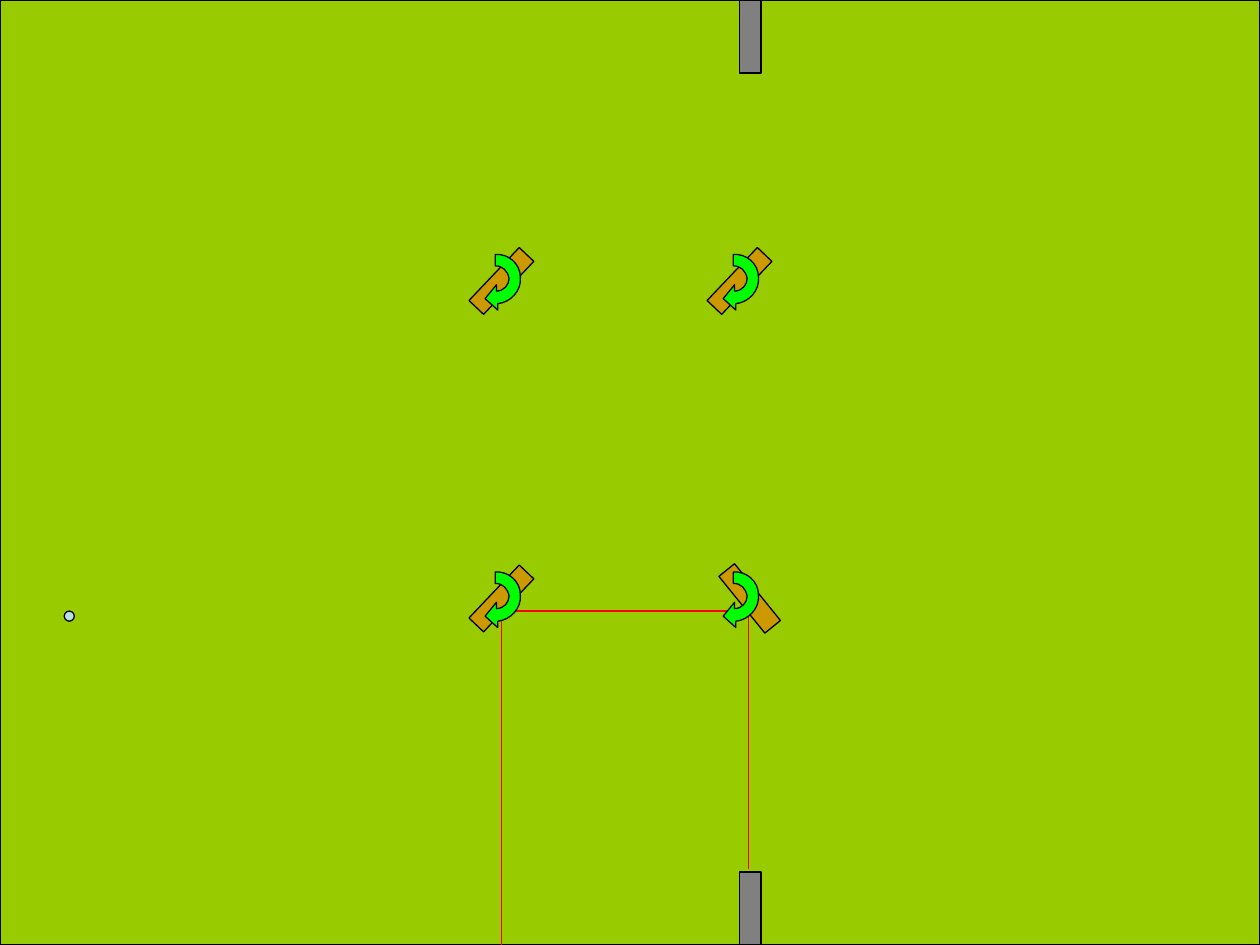
"""Build a green field with four turning gates, two posts, a ball and its red route."""
import math

import pptx
import pptx.dml.color
import pptx.enum.shapes
import pptx.oxml.ns
import pptx.util
from lxml import etree

Inches = pptx.util.Inches
RGBColor = pptx.dml.color.RGBColor
Kind = pptx.enum.shapes.MSO_SHAPE
qn = pptx.oxml.ns.qn

FIELD = RGBColor(0x99, 0xCC, 0x00)
POST = RGBColor(0x80, 0x80, 0x80)
BALL = RGBColor(0xBB, 0xE0, 0xE3)
PLANK = RGBColor(0xCC, 0x99, 0x00)
ARROW = RGBColor(0x00, 0xFF, 0x00)
ROUTE = RGBColor(0xFF, 0x00, 0x00)
BLACK = RGBColor(0x00, 0x00, 0x00)

WIDTH, HEIGHT = 10, 7.5
POST_SIZE = (0.17, 0.58)
PLANK_SIZE = (0.58, 0.16)
ARROW_SIZE = 0.39
ARROW_TURN = 86.9

SCENERY = [
    (Kind.RECTANGLE, (0, 0, WIDTH, HEIGHT), FIELD),
    (Kind.RECTANGLE, (5.87, HEIGHT - POST_SIZE[1], *POST_SIZE), POST),
    (Kind.RECTANGLE, (5.87, 0, *POST_SIZE), POST),
]
BALL_PLACE = (0.51, 4.85, 0.08, 0.08)
ROUTE_POINTS = [(5.94, 6.9), (5.94, 4.85), (3.98, 4.85), (3.98, HEIGHT)]

COLUMNS = (3.74, 5.63)
ROWS = (2.02, 4.54)
GATES = [
    (COLUMNS[1], ROWS[1], 0.03, 51),
    (COLUMNS[0], ROWS[1], -0.05, 313.5),
    (COLUMNS[0], ROWS[0], -0.05, 313.5),
    (COLUMNS[1], ROWS[0], -0.05, 313.5),
]
PLANK_DROP = 0.13

ARROW_OUTLINE = [
    ("moveTo", [(0.2, 0.29)]),
    ("cubicBezTo", [(0.26, 0.29), (0.3, 0.24), (0.3, 0.19)]),
    ("cubicBezTo", [(0.29, 0.13), (0.25, 0.09), (0.19, 0.09)]),
    ("lnTo", [(0.19, 0)]),
    ("cubicBezTo", [(0.29, -0.01), (0.39, 0.07), (0.39, 0.18)]),
    ("cubicBezTo", [(0.4, 0.29), (0.31, 0.38), (0.21, 0.39)]),
    ("lnTo", [(0.21, 0.44)]),
    ("lnTo", [(0.11, 0.35)]),
    ("lnTo", [(0.2, 0.24)]),
    ("close", []),
]


def style(shape, color):
    shape.shadow.inherit = False
    shape.fill.solid()
    shape.fill.fore_color.rgb = color
    shape.line.color.rgb = BLACK
    shape.line.width = pptx.util.Pt(0.75)


def add_block(shapes, kind, place, color, rotation=0):
    block = shapes.add_shape(kind, *map(Inches, place))
    block.rotation = rotation
    style(block, color)


def add_route(shapes, start, end):
    line = shapes.add_connector(
        pptx.enum.shapes.MSO_CONNECTOR.STRAIGHT, *map(Inches, start + end)
    )
    line.line.color.rgb = ROUTE
    line.line.width = pptx.util.Pt(0.75)
    etree.SubElement(line._element.spPr, qn("a:effectLst"))


def turn_back(x, y):
    angle, middle = math.radians(ARROW_TURN), ARROW_SIZE / 2
    across, down = x - middle, y - middle
    return (
        middle + across * math.cos(angle) + down * math.sin(angle),
        middle - across * math.sin(angle) + down * math.cos(angle),
    )


def add_arrow(shapes, left, top):
    builder = shapes.build_freeform(Inches(left), Inches(top))
    builder.add_line_segments([(Inches(left + ARROW_SIZE), Inches(top + ARROW_SIZE))])
    arrow = builder.convert_to_shape()
    outline = next(arrow._element.iter(qn("a:path")))
    for step in list(outline):
        outline.remove(step)
    for command, points in ARROW_OUTLINE:
        step = etree.SubElement(outline, qn(f"a:{command}"))
        for point in points:
            x, y = map(Inches, turn_back(*point))
            etree.SubElement(step, qn("a:pt"), x=str(int(x)), y=str(int(y)))
    arrow.rotation = ARROW_TURN
    style(arrow, ARROW)


def add_gate(shapes, left, top, plank_shift, rotation):
    gate = shapes.add_group_shape().shapes
    plank = (left + plank_shift, top + PLANK_DROP, *PLANK_SIZE)
    add_block(gate, Kind.RECTANGLE, plank, PLANK, rotation)
    add_arrow(gate, left, top)


def main():
    deck = pptx.Presentation()
    deck.slide_width, deck.slide_height = Inches(WIDTH), Inches(HEIGHT)
    shapes = deck.slides.add_slide(deck.slide_layouts[6]).shapes
    for kind, place, color in SCENERY:
        add_block(shapes, kind, place, color)
    for start, end in zip(ROUTE_POINTS, ROUTE_POINTS[1:]):
        add_route(shapes, start, end)
    add_block(shapes, Kind.OVAL, BALL_PLACE, BALL)
    for gate in GATES:
        add_gate(shapes, *gate)
    deck.save("out.pptx")


if __name__ == "__main__":
    main()
